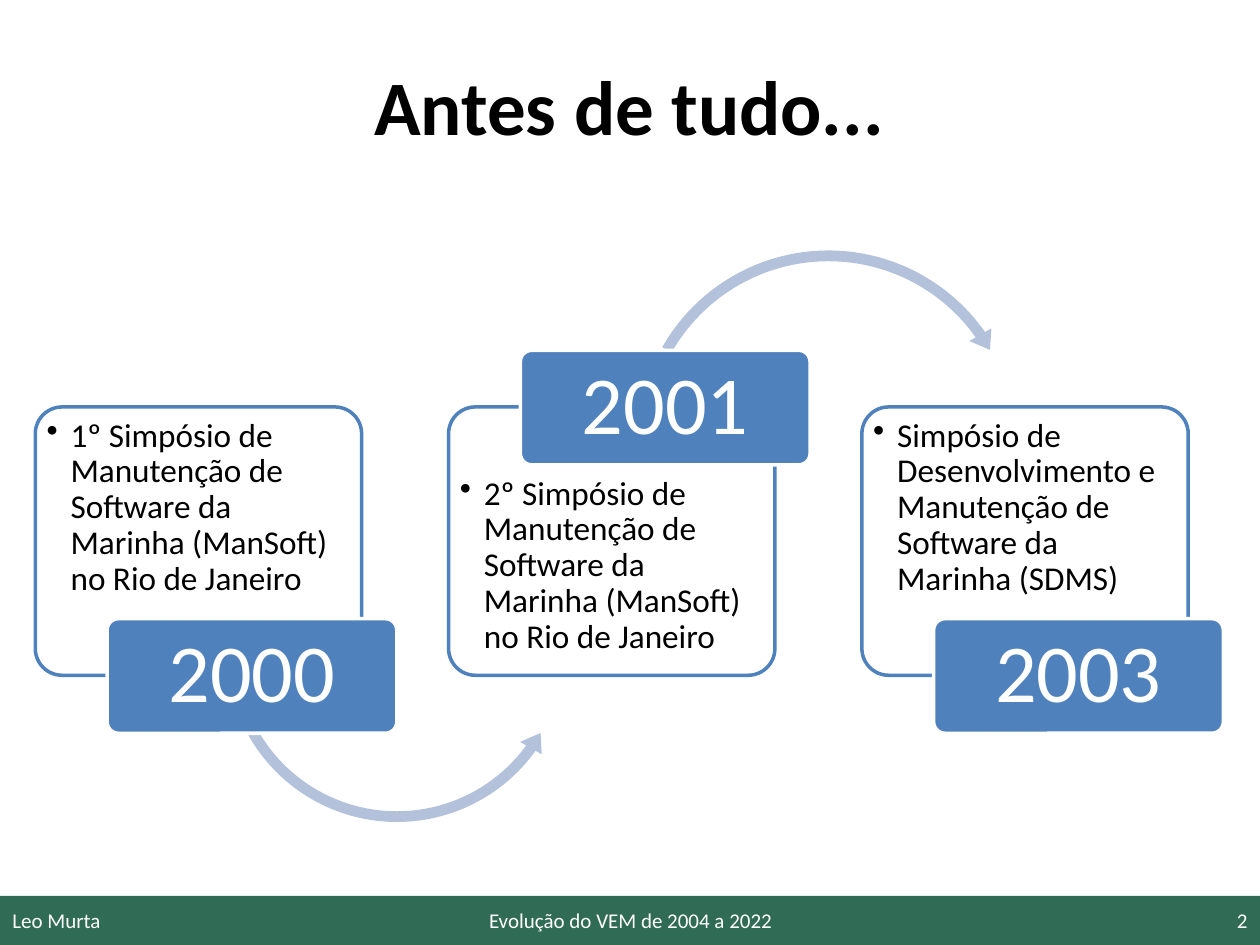
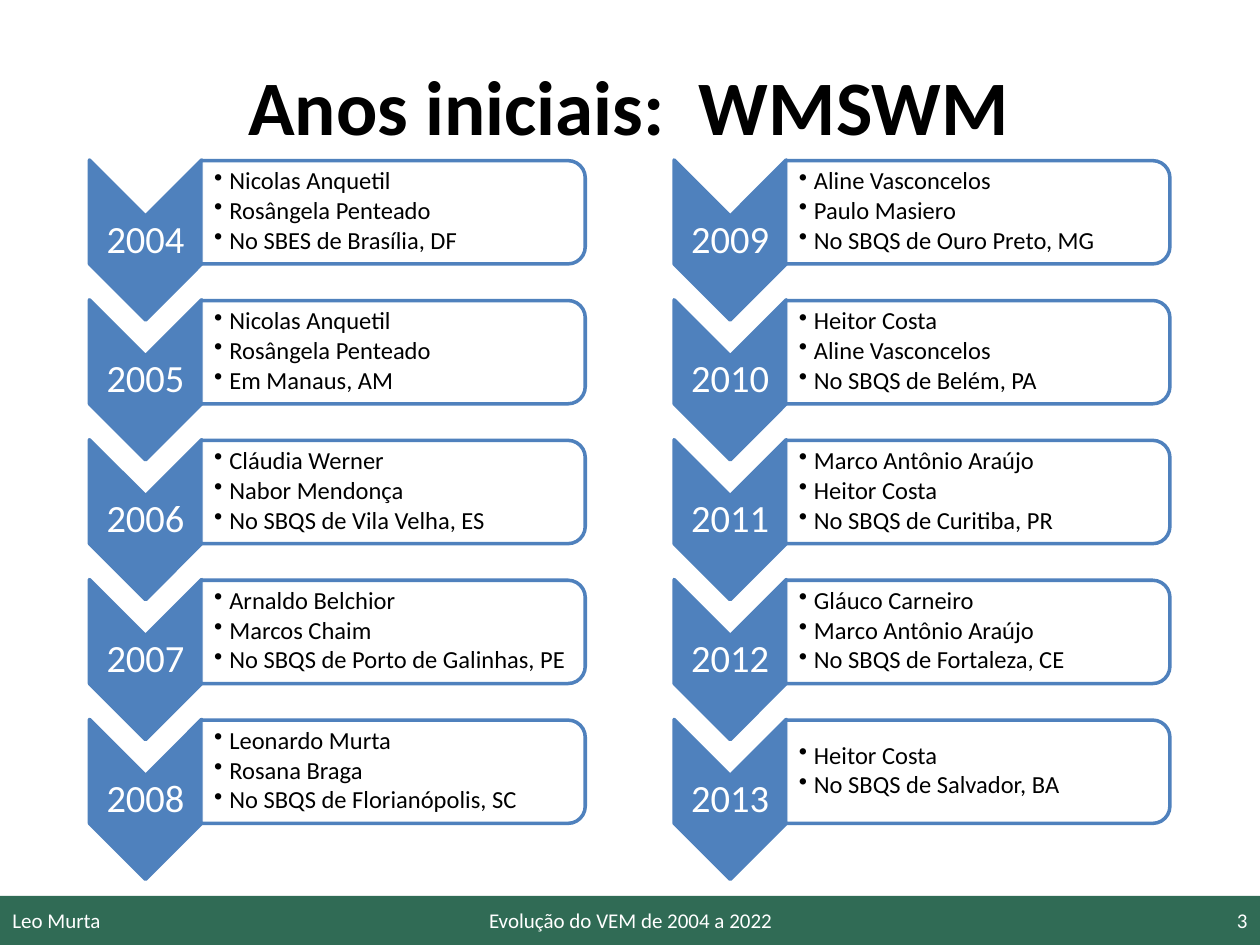
import pptx
import pptx.util
import pptx.dml.color
import pptx.enum.shapes
import pptx.enum.text
import pptx.oxml
import pptx.oxml.ns

Inches = pptx.util.Inches
Pt = pptx.util.Pt
Kind = pptx.enum.shapes.MSO_SHAPE
Align = pptx.enum.text.PP_ALIGN
Anchor = pptx.enum.text.MSO_ANCHOR

BLUE, PALE, GREEN = "4F81BD", "B3C1DB", "306B55"
WHITE, BLACK = "FFFFFF", "000000"
FONT = "Calibri"


def color(code):
    return pptx.dml.color.RGBColor.from_string(code)


def write(frame, text, size=12, ink=BLACK, bold=False, align=Align.LEFT,
          anchor=Anchor.MIDDLE, pad=None, lines=None, after=0, hang=None):
    """Fill a frame, one paragraph per line of text; hang sets a bullet indent."""
    frame.word_wrap = True
    frame.auto_size = pptx.enum.text.MSO_AUTO_SIZE.NONE
    frame.vertical_anchor = anchor
    if pad:
        (frame.margin_left, frame.margin_top,
         frame.margin_right, frame.margin_bottom) = map(Inches, pad)
    for i, line in enumerate(text.split("\n")):
        par = frame.add_paragraph() if i else frame.paragraphs[0]
        par.alignment = align
        par.space_after = Pt(after)
        if lines:
            par.line_spacing = lines
        run = par.add_run()
        run.text = line
        run.font.name, run.font.size, run.font.bold = FONT, Pt(size), bold
        run.font.color.rgb = color(ink)
        if hang:
            props = par._p.get_or_add_pPr()
            props.set("marL", str(Inches(hang)))
            props.set("indent", str(-Inches(hang)))
            mark = pptx.oxml.parse_xml(
                '<a:buChar %s char="•"/>' % pptx.oxml.ns.nsdecls("a"))
            props.append(mark)


class Deck:
    def __init__(self):
        self.file = pptx.Presentation()
        self.file.slide_width = Inches(10)
        self.file.slide_height = Inches(7.5)
        self.slide = None

    def start(self, title, number):
        """Add a slide with its title, band and footer."""
        self.slide = self.file.slides.add_slide(self.file.slide_layouts[5])
        head = self.slide.shapes.title
        head.left, head.top = Inches(1), Inches(0.21)
        head.width, head.height = Inches(7.99), Inches(1.25)
        write(head.text_frame, title, size=44, bold=True, align=Align.CENTER)
        self.shape(Kind.RECTANGLE, 0, 7.11, 10, 0.39, fill=GREEN)
        foot = [(0, 2.33, "Leo Murta", Align.LEFT),
                (3.42, 3.17, "Evolução do VEM de 2004 a 2022", Align.CENTER),
                (7.67, 2.33, str(number), Align.RIGHT)]
        for x, wide, text, align in foot:
            self.text(text, x, 7.1, wide, 0.4, ink=WHITE, align=align)

    def shape(self, kind, x, y, wide, high, fill=WHITE, line=None,
              turn=0, adjust=(), alpha=None):
        item = self.slide.shapes.add_shape(
            kind, Inches(x), Inches(y), Inches(wide), Inches(high))
        item.shadow.inherit = False
        item.rotation = turn
        item.fill.solid()
        item.fill.fore_color.rgb = color(fill)
        if alpha:
            tint = item._element.spPr.find(".//" + pptx.oxml.ns.qn("a:srgbClr"))
            tint.append(pptx.oxml.parse_xml('<a:alpha %s val="%d"/>' % (
                pptx.oxml.ns.nsdecls("a"), alpha * 1000)))
        if line:
            item.line.color.rgb = color(line)
            item.line.width = Pt(2)
        else:
            item.line.fill.background()
        for i, value in enumerate(adjust):
            item.adjustments[i] = value
        return item

    def text(self, text, x, y, wide, high, **style):
        item = self.slide.shapes.add_textbox(
            Inches(x), Inches(y), Inches(wide), Inches(high))
        write(item.text_frame, text, **style)

    def event(self, x, year, text, above, arrow=None):
        """A card with its year badge above or below, and an arrow onwards."""
        self.shape(Kind.ROUNDED_RECTANGLE, x, 3.23, 2.59, 2.13,
                   line=BLUE, adjust=[0.1], alpha=90)
        self.text(text, x + 0.05, 3.74 if above else 3.28, 2.49, 1.58, size=19,
                  anchor=Anchor.TOP, pad=[0.04] * 4, lines=0.9, hang=0.19)
        if arrow:
            kind, dx, y, side, adjust = arrow
            self.shape(kind, x + dx, y, side, side, fill=PALE, adjust=adjust)
        badge = self.shape(Kind.ROUNDED_RECTANGLE, x + 0.57,
                           2.78 if above else 4.91, 2.3, 0.91,
                           fill=BLUE, line=WHITE, adjust=[0.1])
        write(badge.text_frame, year, size=47, ink=WHITE,
              align=Align.CENTER, lines=0.9)

    def row(self, x, y, year, text):
        """A chevron with its year, and the box of names beside it."""
        self.shape(Kind.CHEVRON, x, y, 1.27, 0.89, fill=BLUE, line=BLUE, turn=90)
        self.text(year, x + 0.19, y + 0.26, 0.89, 0.38, size=22, ink=WHITE,
                  align=Align.CENTER, pad=[0.02] * 4, lines=0.9)
        self.shape(Kind.ROUND_2_SAME_RECTANGLE, x + 2.19, y - 1.3, 0.82, 3.05,
                   line=BLUE, turn=90, alpha=90)
        self.text(text, x + 1.07, y - 0.15, 3.01, 0.74, size=14,
                  pad=[0.11, 0.01, 0.01, 0.01], lines=0.9, after=1.9, hang=0.12)


EVENTS = [
    ("2000", "1º Simpósio de Manutenção de Software da Marinha (ManSoft) "
     "no Rio de Janeiro", False,
     (Kind.LEFT_CIRCULAR_ARROW, 1.46, 3.76, 2.82,
      [0.03, 3.73, 21.49, 90.25, 0.035])),
    ("2001", "2º Simpósio de Manutenção de Software da Marinha (ManSoft) "
     "no Rio de Janeiro", True,
     (Kind.CIRCULAR_ARROW, 1.44, 1.93, 3.15,
      [0.027, 3.32, 194.93, 125.76, 0.032])),
    ("2003", "Simpósio de Desenvolvimento e Manutenção de Software "
     "da Marinha (SDMS)", False, None),
]

FIRST = 2004
CHAIRS = [
    "Nicolas Anquetil\nRosângela Penteado\nNo SBES de Brasília, DF",
    "Nicolas Anquetil\nRosângela Penteado\nEm Manaus, AM",
    "Cláudia Werner\nNabor Mendonça\nNo SBQS de Vila Velha, ES",
    "Arnaldo Belchior\nMarcos Chaim\nNo SBQS de Porto de Galinhas, PE",
    "Leonardo Murta\nRosana Braga\nNo SBQS de Florianópolis, SC",
    "Aline Vasconcelos\nPaulo Masiero\nNo SBQS de Ouro Preto, MG",
    "Heitor Costa\nAline Vasconcelos\nNo SBQS de Belém, PA",
    "Marco Antônio Araújo\nHeitor Costa\nNo SBQS de Curitiba, PR",
    "Gláuco Carneiro\nMarco Antônio Araújo\nNo SBQS de Fortaleza, CE",
    "Heitor Costa\nNo SBQS de Salvador, BA",
]


def main():
    deck = Deck()

    # Events before the workshop
    deck.start("Antes de tudo...", 2)
    for i, event in enumerate(EVENTS):
        deck.event(0.28 + 3.28 * i, *event)

    # First ten years, five to a column
    deck.start("Anos iniciais:  WMSWM", 3)
    for i, names in enumerate(CHAIRS):
        col, row = divmod(i, 5)
        deck.row(0.52 + 4.64 * col, 1.46 + 1.11 * row, str(FIRST + i), names)

    deck.file.save("out.pptx")


if __name__ == "__main__":
    main()
